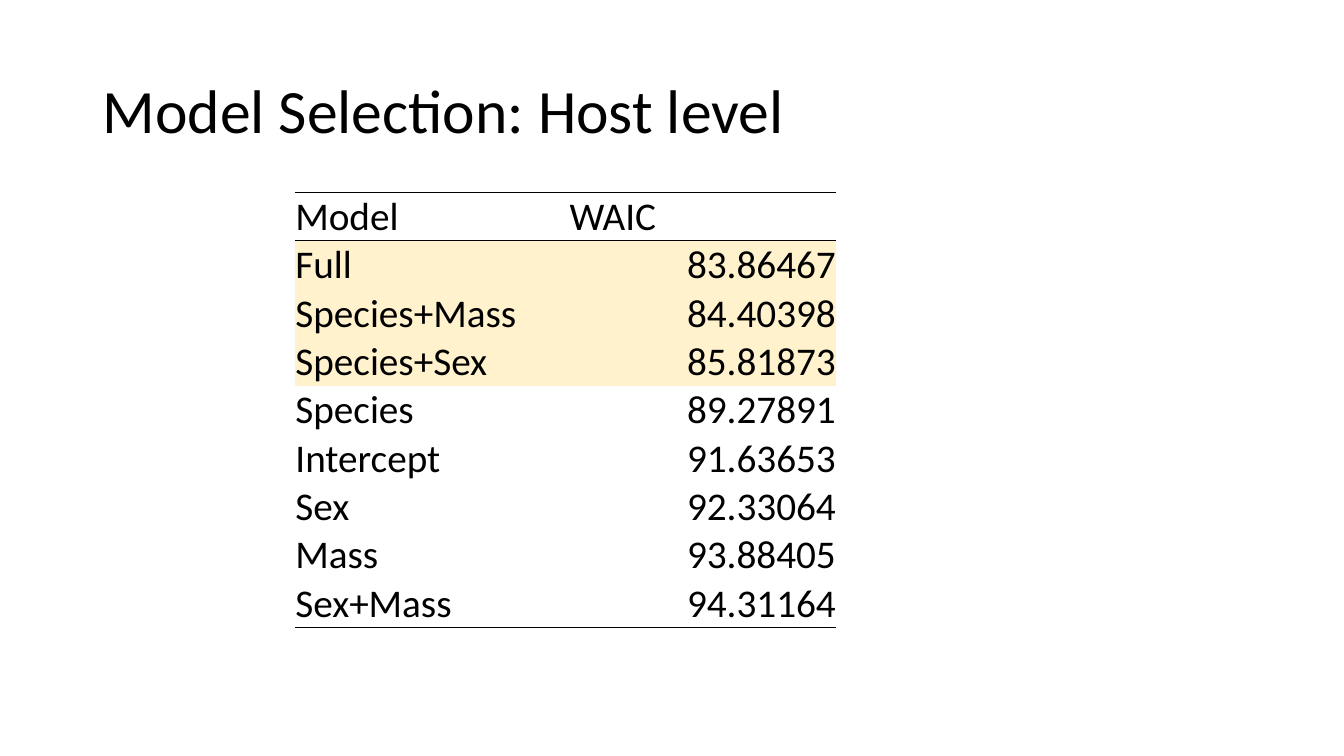
from dataclasses import dataclass

from lxml.etree import SubElement
from pptx import Presentation
from pptx.dml.color import RGBColor
from pptx.enum.text import MSO_ANCHOR as Anchor, MSO_AUTO_SIZE as AutoSize, PP_ALIGN as Align
from pptx.oxml.ns import qn
from pptx.util import Inches, Pt


@dataclass(frozen=True)
class Theme:
    font: str = "Calibri"
    ink: str = "000000"
    highlight: str = "FFF2CC"
    title_size: int = 44
    table_size: int = 28
    rule_width: int = 1


theme = Theme()


def write(frame, text, size, align=Align.LEFT, line_spacing=1.0):
    paragraph = frame.paragraphs[0]
    paragraph.alignment = align
    paragraph.line_spacing = line_spacing
    run = paragraph.add_run()
    run.text = text
    run.font.name = theme.font
    run.font.size = Pt(size)
    run.font.color.rgb = RGBColor.from_string(theme.ink)


def set_borders(cell, ruled_sides):
    properties = cell._tc.get_or_add_tcPr()
    for side in "LRTB":
        line = SubElement(properties, qn(f"a:ln{side}"), w=str(Pt(theme.rule_width)))
        if side in ruled_sides:
            fill = SubElement(line, qn("a:solidFill"))
            SubElement(fill, qn("a:srgbClr"), val=theme.ink)
        else:
            SubElement(line, qn("a:noFill"))


presentation = Presentation()
presentation.slide_width = Inches(13.33)
presentation.slide_height = Inches(7.5)
slide = presentation.slides.add_slide(presentation.slide_layouts[5])

# Title
title = slide.shapes.title
title.left, title.top = Inches(0.92), Inches(0.4)
title.width, title.height = Inches(11.5), Inches(1.45)
title.text_frame.word_wrap = True
title.text_frame.auto_size = AutoSize.NONE
title.text_frame.vertical_anchor = Anchor.MIDDLE
write(title.text_frame, "Model Selection: Host level", theme.title_size, line_spacing=0.9)

# Model scores, best first
scores = [
    ("Model", "WAIC"),
    ("Full", "83.86467"),
    ("Species+Mass", "84.40398"),
    ("Species+Sex", "85.81873"),
    ("Species", "89.27891"),
    ("Intercept", "91.63653"),
    ("Sex", "92.33064"),
    ("Mass", "93.88405"),
    ("Sex+Mass", "94.31164"),
]
best_models = range(1, 4)
column_widths = (2.72, 2.64)
row_height = 0.48
last_row = len(scores) - 1
rules = {0: "TB", 1: "T", last_row: "B"}

# Table
score_table = slide.shapes.add_table(
    len(scores), len(column_widths), Inches(2.93), Inches(1.91),
    Inches(sum(column_widths)), Inches(row_height * len(scores)),
).table
score_table.first_row = False
score_table.horz_banding = False
for column, width in zip(score_table.columns, column_widths):
    column.width = Inches(width)

for row_index, row_values in enumerate(scores):
    score_table.rows[row_index].height = Inches(row_height)
    for column_index, value in enumerate(row_values):
        cell = score_table.cell(row_index, column_index)
        cell.margin_left = cell.margin_right = cell.margin_top = cell.margin_bottom = 0
        cell.vertical_anchor = Anchor.BOTTOM
        is_score = row_index > 0 and column_index == 1
        write(cell.text_frame, value, theme.table_size,
              align=Align.RIGHT if is_score else Align.LEFT)
        set_borders(cell, rules.get(row_index, ""))
        if row_index in best_models:
            cell.fill.solid()
            cell.fill.fore_color.rgb = RGBColor.from_string(theme.highlight)
        else:
            cell.fill.background()

presentation.save("out.pptx")
